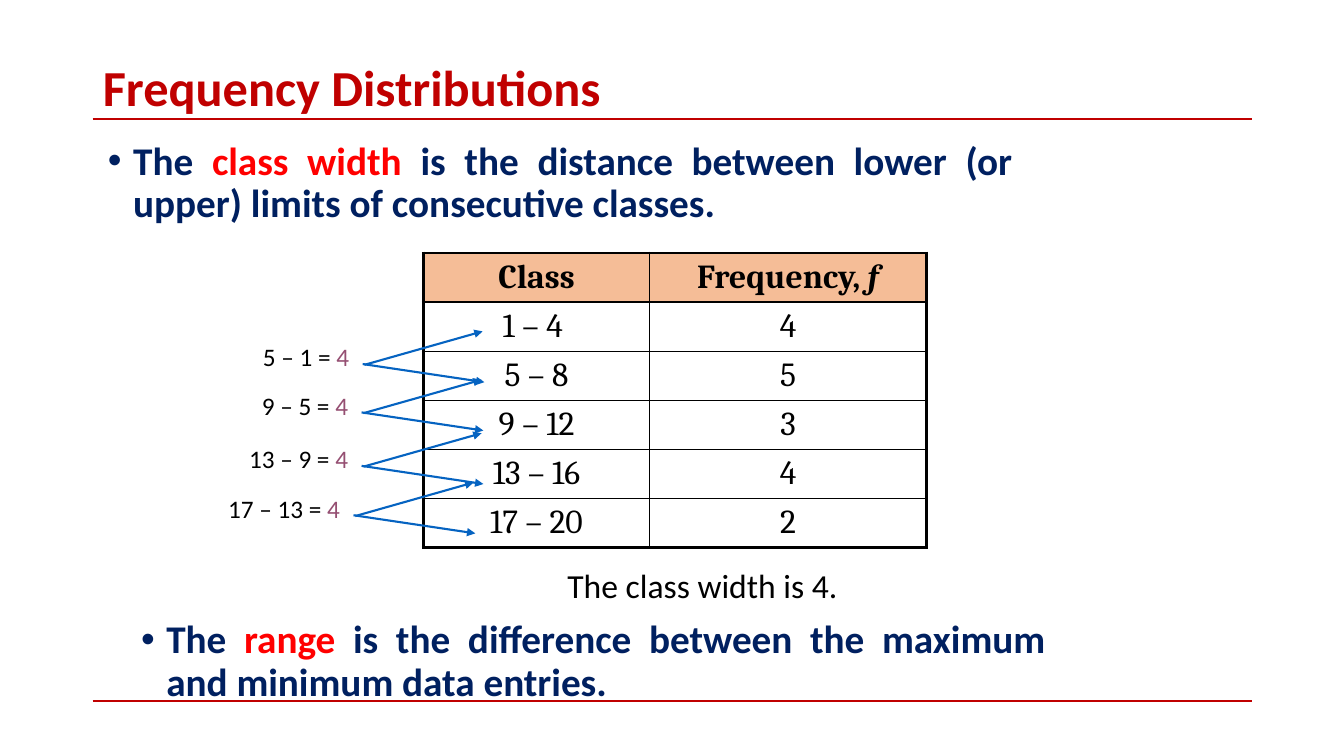
from collections import namedtuple

from lxml import etree
from pptx import Presentation
from pptx import util as u
from pptx.dml.color import RGBColor
from pptx.enum import shapes, text
from pptx.oxml.ns import qn

WIDTH, HEIGHT = u.Inches(13.33), u.Inches(7.5)
CRIMSON = RGBColor(0xC0, 0x00, 0x00)
RED = RGBColor(0xFF, 0x00, 0x00)
NAVY = RGBColor(0x00, 0x20, 0x60)
BLACK = RGBColor(0x00, 0x00, 0x00)
BLUE = RGBColor(0x05, 0x63, 0xC1)
PLUM = RGBColor(0x95, 0x4F, 0x72)
ORANGE = RGBColor(0xED, 0x7D, 0x31)

Box = namedtuple("Box", "left top width height")

ROWS = [("1 – 4 ", "4"), ("5 – 8", "5"), ("9 – 12", "3"),
        ("13 – 16", "4"), ("17 – 20", "2")]
# Left and top of each label in percent of the slide, and its two runs
DIFFERENCES = [(12.98, 44.53, "5 – 1 = ", "4"),
               (12.9, 50.93, "9 – 5 = ", "4"),
               (12.9, 58, "13 – 9 =", " 4"),
               (12.3, 64.53, "17 – 13 = ", "4")]
# Arrow start and tip as shares of the label's width and height
ARROWS = [((1.03, 0.7), (1.67, -0.13)), ((1.02, 0.68), (1.68, 1.13))]


def area(left, top, width, height):
    """Box given in percent of the slide's width and height."""
    return Box(int(WIDTH * left / 100), int(HEIGHT * top / 100),
               int(WIDTH * width / 100), int(HEIGHT * height / 100))


def add_span(para, words, size, colour, face="Calibri", bold=False, italic=False):
    span = para.add_run()
    span.text = words
    span.font.name = face
    span.font.size = u.Pt(size)
    span.font.bold = bold
    span.font.italic = italic
    span.font.color.rgb = colour


def place(shape, box):
    shape.left, shape.top, shape.width, shape.height = box


def add_line(page, start, end, colour, arrow=False):
    line = page.shapes.add_connector(shapes.MSO_CONNECTOR.STRAIGHT, *start, *end)
    line.line.color.rgb = colour
    line.line.width = u.Pt(1.5)
    if arrow:
        etree.SubElement(line.line._get_or_add_ln(), qn("a:tailEnd"), type="triangle")
    etree.SubElement(line._element.spPr, qn("a:effectLst"))


def add_text(page, box, runs, size, align):
    frame = page.shapes.add_textbox(*box).text_frame
    frame.word_wrap = True
    para = frame.paragraphs[0]
    para.alignment = align
    for words, colour in runs:
        add_span(para, words, size, colour)


def fill_title(title, box):
    place(title, box)
    frame = title.text_frame
    frame.auto_size = text.MSO_AUTO_SIZE.NONE
    frame.vertical_anchor = text.MSO_ANCHOR.MIDDLE
    para = frame.paragraphs[0]
    para.alignment = text.PP_ALIGN.LEFT
    para.line_spacing = 0.9
    add_span(para, "Frequency Distributions", 36, CRIMSON, bold=True)


def fill_bullet(body, box, runs):
    place(body, box)
    frame = body.text_frame
    frame.auto_size = text.MSO_AUTO_SIZE.NONE
    frame.vertical_anchor = text.MSO_ANCHOR.TOP
    para = frame.paragraphs[0]
    para.alignment = text.PP_ALIGN.JUSTIFY
    para.line_spacing = 0.9
    para.space_before = u.Pt(0)
    props = para._p.get_or_add_pPr()
    props.set("marL", str(u.Inches(0.25)))
    props.set("indent", str(-u.Inches(0.25)))
    colour = etree.SubElement(props, qn("a:buClr"))
    etree.SubElement(colour, qn("a:srgbClr"), val=str(NAVY))
    etree.SubElement(props, qn("a:buFont"), typeface="Arial")
    etree.SubElement(props, qn("a:buChar"), char="•")
    for words, shade in runs:
        add_span(para, words, 28, shade, bold=True)


def set_borders(cell, outer):
    """Thick lines on the outer sides, thin ones elsewhere."""
    props = cell._tc.get_or_add_tcPr()
    for place_in_order, side in enumerate("LRTB"):
        width = u.Pt(2.25 if side in outer else 1)
        line = etree.Element(qn(f"a:ln{side}"), w=str(width))
        solid = etree.SubElement(line, qn("a:solidFill"))
        etree.SubElement(solid, qn("a:srgbClr"), val=str(BLACK))
        props.insert(place_in_order, line)


def add_frequency_table(page, box):
    count = len(ROWS) + 1
    table = page.shapes.add_table(count, 2, *box).table
    table.first_row = table.horz_banding = False
    for column, share in zip(table.columns, (0.45, 0.55)):
        column.width = int(box.width * share)
    header = [[("Class", False)], [("Frequency, ", False), ("f", True)]]
    lines = [header] + [[[(words, False)] for words in row] for row in ROWS]
    for r, line in enumerate(lines):
        table.rows[r].height = box.height // count
        for c, runs in enumerate(line):
            cell = table.cell(r, c)
            para = cell.text_frame.paragraphs[0]
            para.alignment = text.PP_ALIGN.CENTER
            for words, italic in runs:
                add_span(para, words, 24, BLACK, "Cambria", r == 0, italic)
            if r == 0:
                cell.fill.solid()
                cell.fill.fore_color.rgb = ORANGE
                shade = cell._tc.tcPr.find(".//" + qn("a:srgbClr"))
                etree.SubElement(shade, qn("a:alpha"), val="50000")
            else:
                cell.fill.background()
            outer = "LR"[c] + ("T" if r == 0 else "") + ("B" if r == count - 1 else "")
            set_borders(cell, outer)


def add_difference(page, box, sum_text, result):
    """A subtraction with arrows to the two classes it compares."""
    add_text(page, box, [(sum_text, BLACK), (result, PLUM)], 18, text.PP_ALIGN.RIGHT)
    for arrow in ARROWS:
        start, tip = [(int(box.left + box.width * x), int(box.top + box.height * y))
                      for x, y in arrow]
        add_line(page, start, tip, BLUE, arrow=True)


def build_slide(deck):
    page = deck.slides.add_slide(deck.slide_layouts[3])
    title, first, second = page.placeholders

    # Title between the two rules of the page
    for height in (15.73, 92.67):
        rule = area(6.9, height, 86.25, 0)
        add_line(page, (rule.left, rule.top), (rule.left + rule.width, rule.top), CRIMSON)
    fill_title(title, area(6.9, 8.13, 86.25, 7.73))

    # Definitions
    fill_bullet(first, area(7.28, 18, 68.78, 15.33), [
        ("The ", NAVY), ("class width ", RED),
        ("is the distance between lower (or upper) limits of consecutive classes.", NAVY)])
    fill_bullet(second, area(9.75, 81.33, 68.78, 15.33), [
        ("The ", NAVY), ("range", RED),
        (" is the difference between the maximum and minimum data entries.", NAVY)])

    # Table, its differences and the conclusion
    add_frequency_table(page, area(31.5, 33.47, 37.43, 38.93))
    for left, top, sum_text, result in DIFFERENCES:
        add_difference(page, area(left, top, 13.73, 5.33), sum_text, result)
    add_text(page, area(41.48, 74, 21.75, 6.67),
             [("The class width is 4.", BLACK)], 24, text.PP_ALIGN.LEFT)


def main():
    deck = Presentation()
    deck.slide_width, deck.slide_height = WIDTH, HEIGHT
    build_slide(deck)
    deck.save("out.pptx")


if __name__ == "__main__":
    main()
